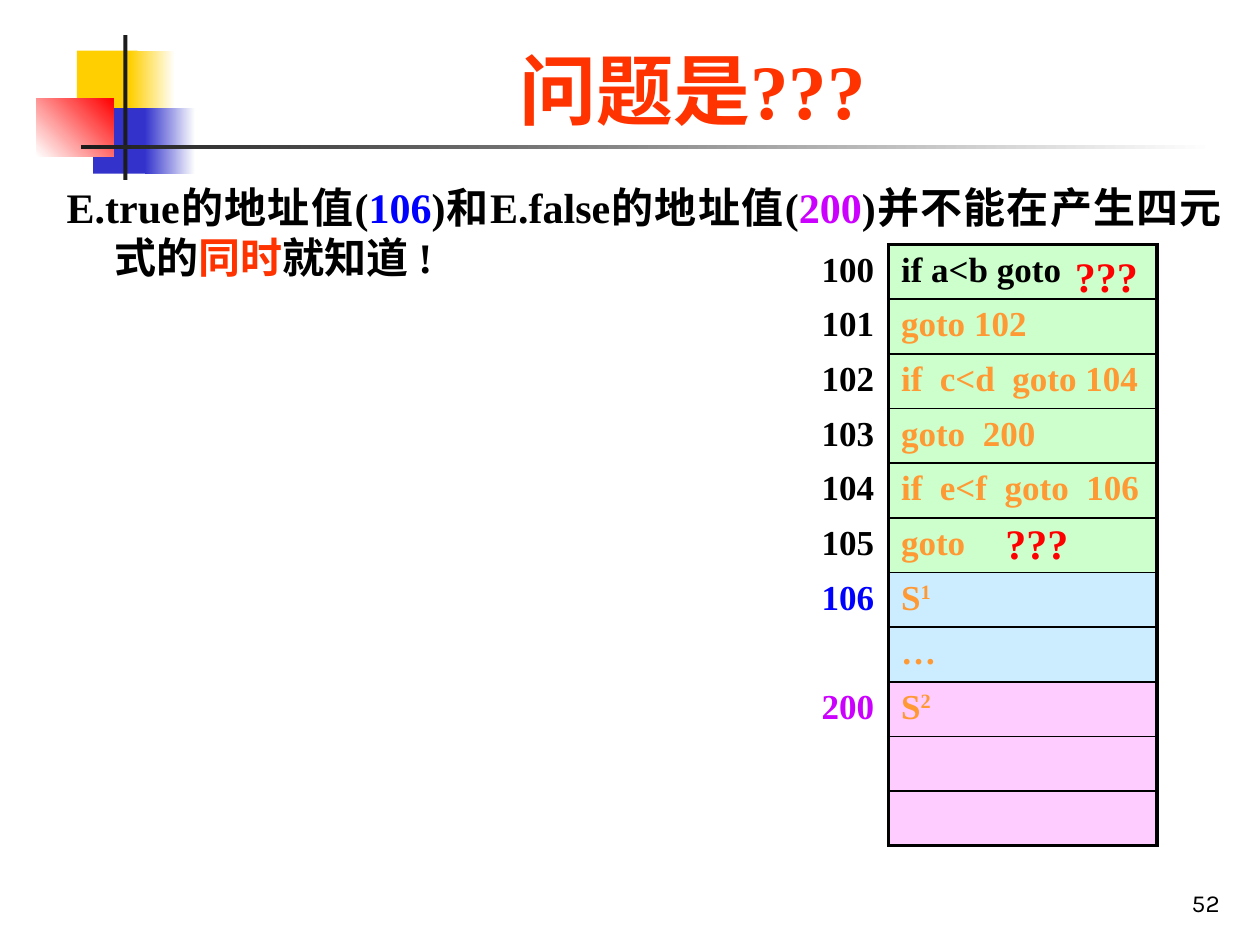
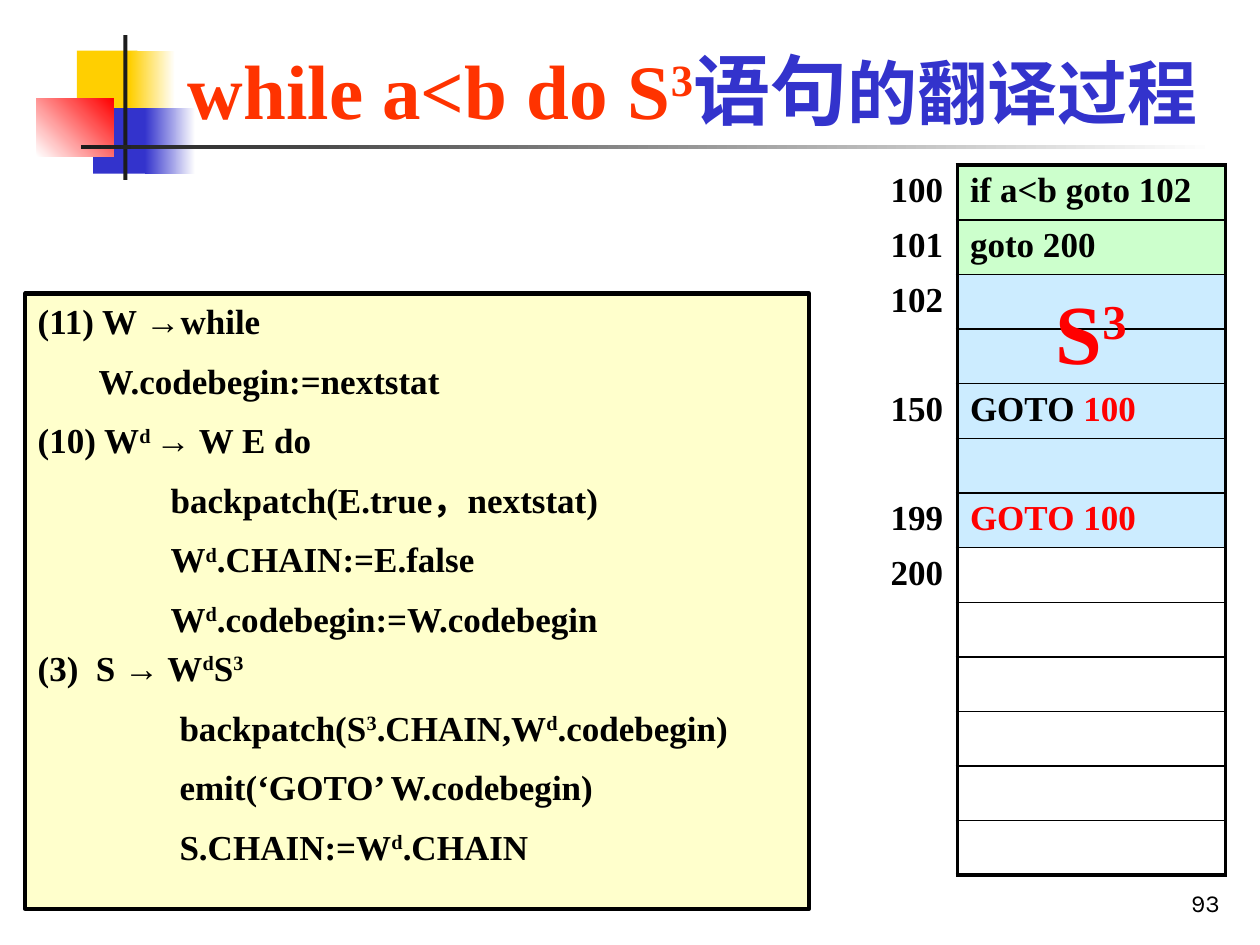
from dataclasses import dataclass
from typing import Any, NamedTuple

from lxml.etree import SubElement
from pptx import Presentation
from pptx.dml.color import RGBColor
from pptx.enum.shapes import MSO_SHAPE
from pptx.enum.text import MSO_ANCHOR, MSO_AUTO_SIZE, PP_ALIGN
from pptx.oxml.ns import qn
from pptx.util import Cm, Pt

BLACK = RGBColor(0x00, 0x00, 0x00)
WHITE = RGBColor(0xFF, 0xFF, 0xFF)
CHARCOAL = RGBColor(0x1C, 0x1C, 0x1C)
GOLD = RGBColor(0xFF, 0xCF, 0x01)
INDIGO = RGBColor(0x33, 0x33, 0xCC)
RED = RGBColor(0xFF, 0x00, 0x00)
TITLE_RED = RGBColor(0xFF, 0x33, 0x00)
TRUE_BLUE = RGBColor(0x00, 0x00, 0xFF)
FALSE_PURPLE = RGBColor(0xCC, 0x00, 0xFF)
ORANGE = RGBColor(0xFF, 0x99, 0x33)
PALE_GREEN = RGBColor(0xCC, 0xFF, 0xCC)
PALE_BLUE = RGBColor(0xCC, 0xEC, 0xFF)
PALE_PINK = RGBColor(0xFF, 0xCC, 0xFF)
PALE_YELLOW = RGBColor(0xFF, 0xFF, 0xCC)

TEXT_FONT = "Times New Roman"
NUMBER_FONT = "Karla"
THICK, THIN = Pt(2.25), Pt(1)
ROW_HEIGHT = Cm(1.1)
COLUMN_WIDTHS = (Cm(1.6), Cm(5.41))
HANGING = Cm(1.27)


class Area(NamedTuple):
    left: float
    top: float
    width: float
    height: float

    def lengths(self) -> tuple:
        return tuple(Cm(value) for value in self)


class Span(NamedTuple):
    """Text of one colour; parts between ^ marks are superscript."""
    text: str
    color: RGBColor = BLACK
    size: float | None = None


class Band(NamedTuple):
    area: Area
    start: RGBColor
    end: RGBColor | None = None
    angle: float = 0


@dataclass(frozen=True)
class CodeRow:
    address: str
    code: tuple[Span, ...]
    fill: RGBColor
    address_color: RGBColor = BLACK


class RuleLine(NamedTuple):
    text: str
    indent: float = 0
    gap: float = 10


TITLE_AREA = Area(3.1, 0.91, 21.72, 1.93)
NUMBER_AREA = Area(19.56, 17.35, 5.28, 1.27)
BODY_AREA = Area(1.09, 3.53, 23.8, 4.01)
RULES_AREA = Area(0.51, 5.92, 15.8, 12.4)

BANDS = (
    Band(Area(1.55, 1.02, 1.22, 1.32), GOLD),
    Band(Area(2.62, 1.02, 0.91, 1.32), GOLD, WHITE),
    Band(Area(1.88, 2.18, 1.17, 1.32), INDIGO),
    Band(Area(2.92, 2.18, 1.02, 1.32), INDIGO, WHITE),
    Band(Area(0.74, 1.98, 1.55, 1.17), WHITE, RED, 45),
    Band(Area(2.49, 0.71, 0.08, 2.92), CHARCOAL),
    Band(Area(1.63, 2.92, 22.86, 0.08), CHARCOAL, WHITE),
)

QUESTION_ROWS = (
    CodeRow("100", (Span("if a<b goto"),), PALE_GREEN),
    CodeRow("101", (Span("goto 102", ORANGE),), PALE_GREEN),
    CodeRow("102", (Span("if  c<d  goto 104", ORANGE),), PALE_GREEN),
    CodeRow("103", (Span("goto  200", ORANGE),), PALE_GREEN),
    CodeRow("104", (Span("if  e<f  goto  106", ORANGE),), PALE_GREEN),
    CodeRow("105", (Span("goto", ORANGE),), PALE_GREEN),
    CodeRow("106", (Span("S^1^", ORANGE),), PALE_BLUE, TRUE_BLUE),
    CodeRow("", (Span("…", ORANGE),), PALE_BLUE),
    CodeRow("200", (Span("S^2^", ORANGE),), PALE_PINK, FALSE_PURPLE),
    *[CodeRow("", (), PALE_PINK)] * 2,
)

WHILE_ROWS = (
    CodeRow("100", (Span("if a<b goto 102"),), PALE_GREEN),
    CodeRow("101", (Span("goto 200"),), PALE_GREEN),
    CodeRow("102", (), PALE_BLUE),
    CodeRow("", (), PALE_BLUE),
    CodeRow("150", (Span("GOTO "), Span("100", RED)), PALE_BLUE),
    CodeRow("", (), PALE_BLUE),
    CodeRow("199", (Span("GOTO 100", RED),), PALE_BLUE),
    CodeRow("200", (), WHITE),
    *[CodeRow("", (), WHITE)] * 5,
)

RULES = (
    RuleLine("(11) W →while", gap=0),
    RuleLine("W.codebegin:=nextstat", 1.23),
    RuleLine("(10) W^d ^→ W E do"),
    RuleLine("backpatch(E.true，nextstat)", 2.68),
    RuleLine("W^d^.CHAIN:=E.false", 2.68),
    RuleLine("W^d^.codebegin:=W.codebegin", 2.68),
    RuleLine("(3)  S → W^d^S^3^", gap=4),
    RuleLine("backpatch(S^3^.CHAIN,W^d^.codebegin)", 2.86),
    RuleLine("emit(‘GOTO’ W.codebegin)", 2.86),
    RuleLine("S.CHAIN:=W^d^.CHAIN", 2.86),
)


def set_values(target: Any, **values: Any) -> None:
    for name, value in values.items():
        setattr(target, name, value)


def place(shape: Any, area: Area) -> None:
    set_values(shape, **dict(zip(("left", "top", "width", "height"), area.lengths())))


def write(para: Any, spans: tuple[Span, ...], size: float,
          font: str = TEXT_FONT, bold: bool = True) -> None:
    for item in spans:
        for index, part in enumerate(item.text.split("^")):
            if not part:
                continue
            span = para.add_run()
            span.text = part
            set_values(span.font, name=font, size=Pt(item.size or size), bold=bold)
            span.font.color.rgb = item.color
            if index % 2:
                span._r.get_or_add_rPr().set("baseline", "30000")


def set_indent(para: Any, left: int, first: int) -> None:
    properties = para._p.get_or_add_pPr()
    properties.set("marL", str(left))
    properties.set("indent", str(first))


def move_bands_to_master(deck: Any, page: Any) -> None:
    """Draw the corner ornament on a page, then hand it to the master, at the back."""
    for index, band in enumerate(BANDS):
        shape = page.shapes.add_shape(MSO_SHAPE.RECTANGLE, *band.area.lengths())
        shape.shadow.inherit = False
        shape.line.fill.background()
        if band.end is None:
            shape.fill.solid()
            shape.fill.fore_color.rgb = band.start
        else:
            shape.fill.gradient()
            shape.fill.gradient_angle = band.angle
            for stop, color in zip(shape.fill.gradient_stops, (band.start, band.end)):
                stop.color.rgb = color
        shape.element.nvSpPr.cNvPr.id = 101 + index
        deck.slide_master.shapes.element.insert(2 + index, shape.element)


def add_text(page: Any, area: Area, spans: tuple[Span, ...], size: float,
             align: PP_ALIGN = PP_ALIGN.CENTER, anchor: MSO_ANCHOR = MSO_ANCHOR.TOP,
             font: str = TEXT_FONT, bold: bool = True) -> None:
    box = page.shapes.add_textbox(*area.lengths())
    set_values(box.text_frame, word_wrap=True, vertical_anchor=anchor)
    para = box.text_frame.paragraphs[0]
    para.alignment = align
    write(para, spans, size, font, bold)


def add_page(deck: Any, layout_name: str, number: str, title: tuple[Span, ...]) -> Any:
    page = deck.slides.add_slide(deck.slide_layouts.get_by_name(layout_name))
    heading = page.shapes.title
    place(heading, TITLE_AREA)
    set_values(heading.text_frame, word_wrap=True, auto_size=MSO_AUTO_SIZE.NONE,
               vertical_anchor=MSO_ANCHOR.BOTTOM)
    para = heading.text_frame.paragraphs[0]
    para.alignment = PP_ALIGN.CENTER
    write(para, title, 44)
    add_text(page, NUMBER_AREA, (Span(number),), 14, PP_ALIGN.RIGHT,
             MSO_ANCHOR.BOTTOM, NUMBER_FONT, False)
    return page


def fill_body(page: Any, spans: tuple[Span, ...]) -> None:
    body = page.placeholders[1]
    place(body, BODY_AREA)
    set_values(body.text_frame, word_wrap=True, auto_size=MSO_AUTO_SIZE.NONE,
               vertical_anchor=MSO_ANCHOR.TOP)
    para = body.text_frame.paragraphs[0]
    set_indent(para, Cm(0.97), -Cm(0.97))
    SubElement(para._p.get_or_add_pPr(), qn("a:buNone"))
    set_values(para, alignment=PP_ALIGN.JUSTIFY, space_before=Pt(0))
    write(para, spans, 24)


def set_borders(cell: Any, **widths: int) -> None:
    """Draw black borders, given in the order L, R, T, B, ahead of the cell's fill."""
    properties = cell._tc.get_or_add_tcPr()
    for index, (side, width) in enumerate(widths.items()):
        line = SubElement(properties, qn(f"a:ln{side}"), w=str(width))
        color = SubElement(SubElement(line, qn("a:solidFill")), qn("a:srgbClr"))
        color.set("val", str(BLACK))
        properties.insert(index, line)


def add_code_table(page: Any, left: float, top: float, rows: tuple[CodeRow, ...]) -> None:
    frame = page.shapes.add_table(len(rows), 2, Cm(left), Cm(top),
                                  sum(COLUMN_WIDTHS), ROW_HEIGHT * len(rows))
    table = frame.table
    set_values(table, first_row=False, horz_banding=False)
    for column, width in zip(table.columns, COLUMN_WIDTHS):
        column.width = width
    last = len(rows) - 1
    for index, row in enumerate(rows):
        table.rows[index].height = ROW_HEIGHT
        address, code = table.cell(index, 0), table.cell(index, 1)
        address_spans = (Span(row.address, row.address_color),)
        for cell, spans, fill in ((address, address_spans, WHITE),
                                  (code, row.code, row.fill)):
            cell.fill.solid()
            cell.fill.fore_color.rgb = fill
            write(cell.text_frame.paragraphs[0], spans, 20)
        set_borders(address, R=THICK)
        set_borders(code, L=THICK, R=THICK, T=THIN if index else THICK,
                    B=THIN if index < last else THICK)


def add_rules_box(page: Any) -> None:
    box = page.shapes.add_shape(MSO_SHAPE.RECTANGLE, *RULES_AREA.lengths())
    box.shadow.inherit = False
    box.fill.solid()
    box.fill.fore_color.rgb = PALE_YELLOW
    box.line.color.rgb = BLACK
    box.line.width = Pt(2.5)
    frame = box.text_frame
    set_values(frame, word_wrap=True, vertical_anchor=MSO_ANCHOR.TOP)
    for index, rule in enumerate(RULES):
        para = frame.add_paragraph() if index else frame.paragraphs[0]
        if rule.indent:
            set_indent(para, Cm(rule.indent), 0)
        else:
            set_indent(para, HANGING, -HANGING)
        set_values(para, alignment=PP_ALIGN.LEFT, space_before=Pt(rule.gap))
        write(para, (Span(rule.text),), 20)


def build_question_page(deck: Any) -> Any:
    page = add_page(deck, "Title and Content", "52", (Span("问题是???", TITLE_RED),))
    fill_body(page, (
        Span("E.true的地址值("), Span("106", TRUE_BLUE),
        Span(")和E.false的地址值("), Span("200", FALSE_PURPLE),
        Span(")并不能在产生四元式的"), Span("同时", TITLE_RED), Span("就知道 !"),
    ))
    add_code_table(page, 16.31, 4.93, QUESTION_ROWS)
    for left, top in ((21.11, 4.93), (19.71, 10.31)):
        add_text(page, Area(left, top, 2.39, 1.27), (Span("???", RED),), 24)
    return page


def build_while_page(deck: Any) -> None:
    page = add_page(deck, "Title Only", "93", (
        Span("while a<b do S^3^", TITLE_RED), Span("语句", INDIGO),
        Span("的翻译过程", INDIGO, 40),
    ))
    add_rules_box(page)
    add_code_table(page, 17.7, 3.33, WHILE_ROWS)
    add_text(page, Area(20.7, 5.54, 2.59, 2.29), (Span("S^3^", RED),), 48)


def main() -> None:
    deck = Presentation()
    set_values(deck, slide_width=Cm(25.4), slide_height=Cm(19.05))
    question_page = build_question_page(deck)
    move_bands_to_master(deck, question_page)
    build_while_page(deck)
    deck.save("out.pptx")


if __name__ == "__main__":
    main()
